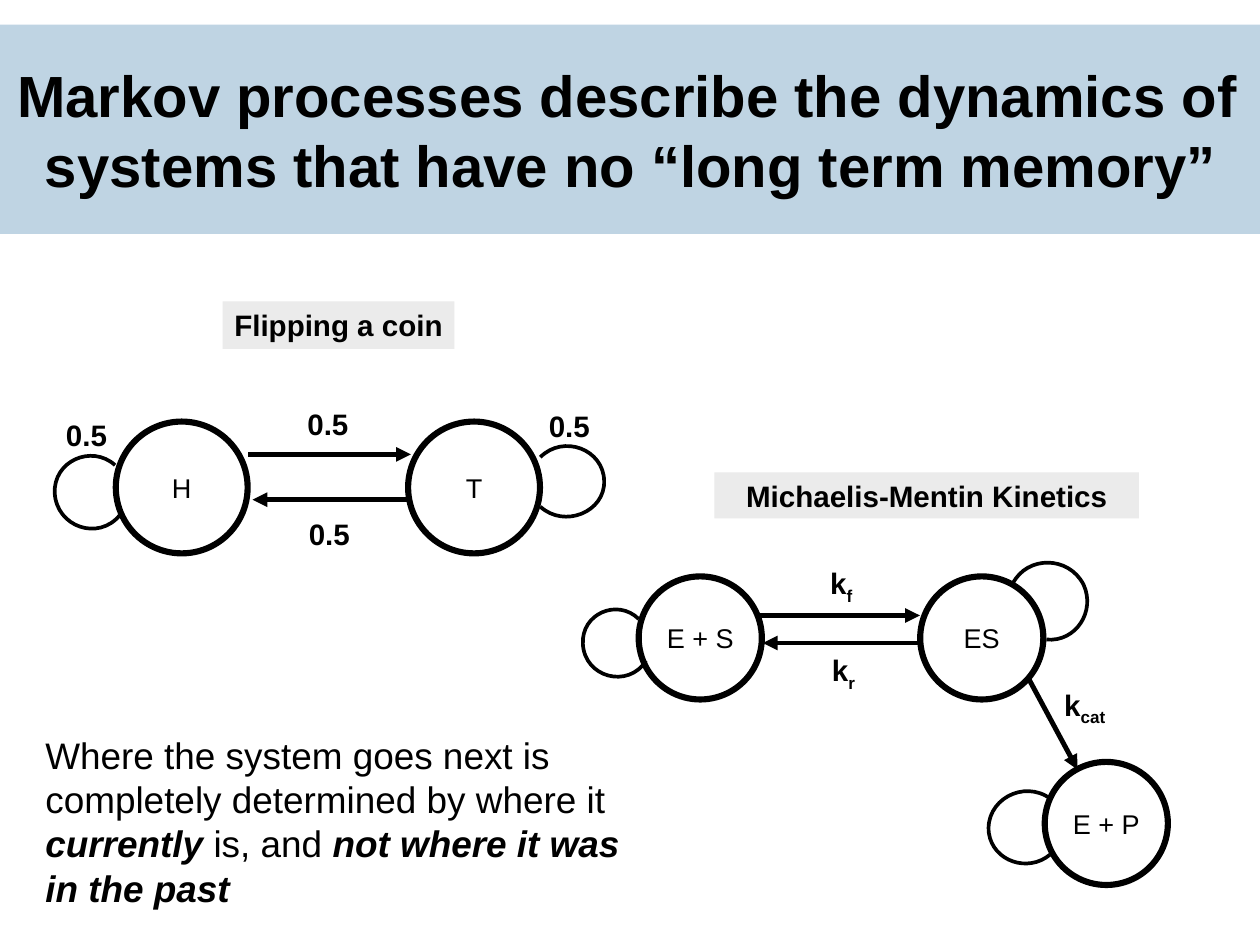
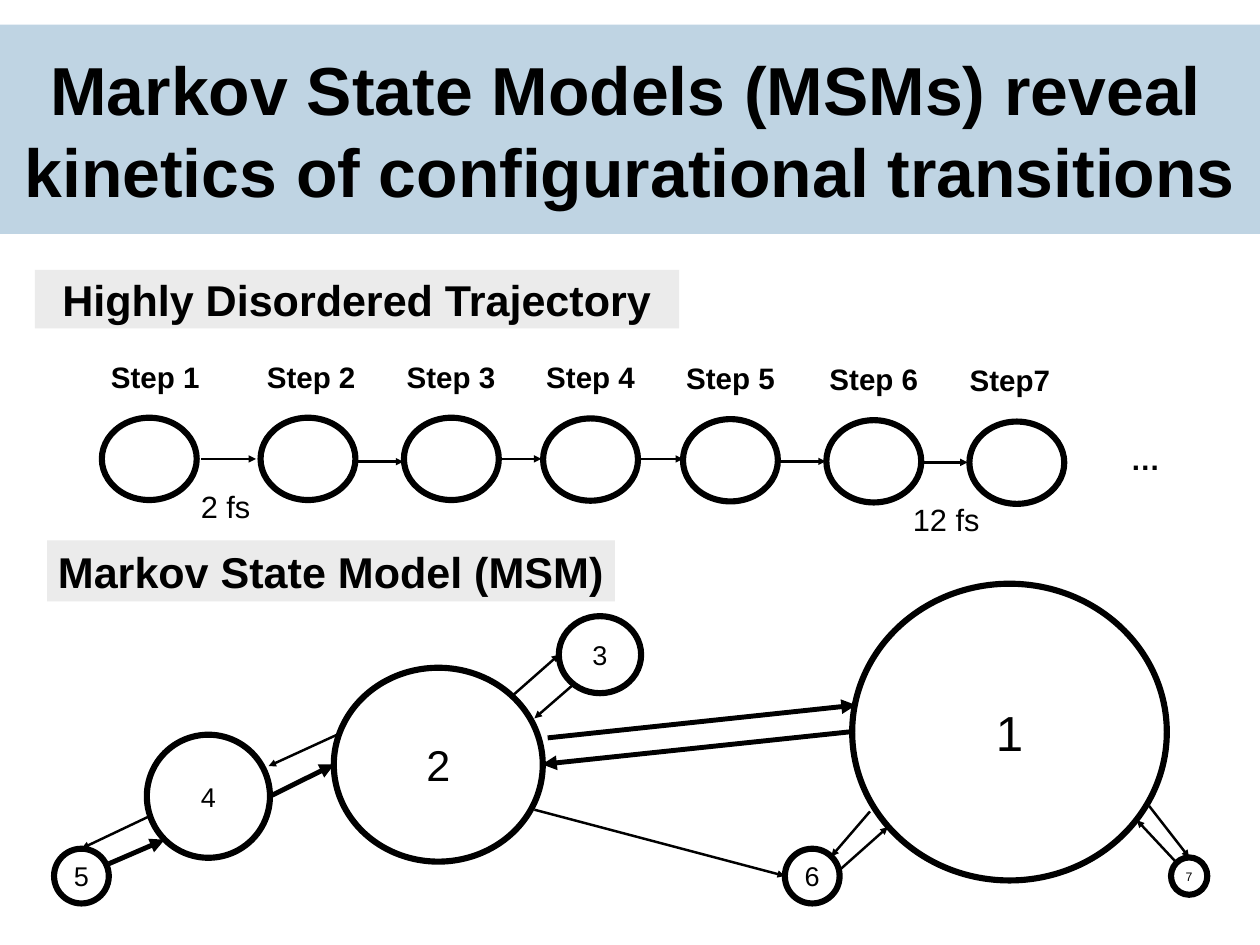
"""Build two slides on Markov processes and Markov state models."""
from dataclasses import dataclass
from typing import NamedTuple

from lxml import etree
from pptx import Presentation
from pptx.dml.color import RGBColor
from pptx.enum.shapes import MSO_CONNECTOR, MSO_SHAPE
from pptx.enum.text import MSO_ANCHOR, PP_ALIGN
from pptx.oxml.ns import qn
from pptx.util import Cm, Pt

RECTANGLE, ELLIPSE = MSO_SHAPE.RECTANGLE, MSO_SHAPE.OVAL
STRAIGHT = MSO_CONNECTOR.STRAIGHT
MIDDLE, TOP = MSO_ANCHOR.MIDDLE, MSO_ANCHOR.TOP
CENTER, LEFT = PP_ALIGN.CENTER, PP_ALIGN.LEFT


@dataclass(frozen=True)
class Theme:
    font: str = "Arial"
    ink: RGBColor = RGBColor(0, 0, 0)
    band: RGBColor = RGBColor(0x00, 0x54, 0x93)
    band_alpha: int = 25000
    caption: RGBColor = RGBColor(0xEB, 0xEB, 0xEB)
    label_size: float = 24
    state_size: float = 22
    heading_size: float = 35
    body_size: float = 30
    time_size: float = 25
    outline: float = 5
    loop: float = 3
    thick: float = 4
    thin: float = 2
    tight: float = 0.15
    loose: float = 0.25
    title_inset: float = 0.36


THEME = Theme()


class Box(NamedTuple):
    left: float
    top: float
    width: float
    height: float


class Span(NamedTuple):
    text: str
    emphasis: bool = False
    subscript: bool = False


class State(NamedTuple):
    name: str
    box: Box
    size: float = THEME.state_size


class Label(NamedTuple):
    spans: tuple[Span, ...]
    box: Box


class Arrow(NamedTuple):
    x1: float
    y1: float
    x2: float
    y2: float
    weight: float = THEME.thick


class Step(NamedTuple):
    name: str
    label_left: float
    circle_left: float
    circle_top: float


Point = tuple[float, float]


def place(box: Box) -> tuple[Cm, ...]:
    return tuple(Cm(length) for length in box)


def write(shape, spans: tuple[Span, ...], size: float, bold: bool = False,
          inset: float = THEME.tight, anchor=MIDDLE, align=CENTER,
          wrap: bool = False, hanging: float = 0) -> None:
    frame = shape.text_frame
    frame.word_wrap = wrap
    frame.vertical_anchor = anchor
    frame.margin_left = frame.margin_right = Cm(inset)
    frame.margin_top = frame.margin_bottom = Cm(inset)
    paragraph = frame.paragraphs[0]
    paragraph.alignment = align
    if hanging:
        properties = paragraph._p.get_or_add_pPr()
        for side in ("marL", "marR"):
            properties.set(side, str(Cm(hanging)))
        properties.set("indent", str(-Cm(hanging)))
    font = paragraph.font
    font.name, font.size, font.bold = THEME.font, Pt(size), bold
    font.color.rgb = THEME.ink
    for span in spans:
        run = paragraph.add_run()
        run.text = span.text
        if span.emphasis:
            run.font.bold = run.font.italic = True
        if span.subscript:
            run._r.get_or_add_rPr().set("baseline", "-25000")


def add_panel(slide, box: Box, color: RGBColor):
    panel = slide.shapes.add_shape(RECTANGLE, *place(box))
    panel.shadow.inherit = False
    panel.fill.solid()
    panel.fill.fore_color.rgb = color
    panel.line.fill.background()
    return panel


def add_title(slide, text: str, size: float, hanging: float) -> None:
    band = add_panel(slide, Box(-0.08, 0.71, 36.3, 6), THEME.band)
    color = band.fill._xPr.find(f".//{qn('a:srgbClr')}")
    etree.SubElement(color, qn("a:alpha")).set("val", str(THEME.band_alpha))
    write(band, (Span(text),), size, bold=True, inset=THEME.title_inset,
          wrap=True, hanging=hanging)


def add_caption(slide, text: str, box: Box, size: float) -> None:
    write(add_panel(slide, box, THEME.caption), (Span(text),), size, bold=True)


def add_label(slide, label: Label) -> None:
    write(slide.shapes.add_textbox(*place(label.box)), label.spans,
          THEME.label_size, bold=True)


def add_outline(shape, weight: float) -> None:
    shape.shadow.inherit = False
    shape.fill.background()
    shape.line.color.rgb = THEME.ink
    shape.line.width = Pt(weight)


def add_state(slide, state: State) -> None:
    circle = slide.shapes.add_shape(ELLIPSE, *place(state.box))
    add_outline(circle, THEME.outline)
    if state.name:
        write(circle, (Span(state.name),), state.size)


def add_arrow(slide, arrow: Arrow) -> None:
    ends = (Cm(arrow.x1), Cm(arrow.y1), Cm(arrow.x2), Cm(arrow.y2))
    connector = slide.shapes.add_connector(STRAIGHT, *ends)
    connector.line.color.rgb = THEME.ink
    connector.line.width = Pt(arrow.weight)
    tip = etree.SubElement(connector.line._get_or_add_ln(), qn("a:tailEnd"))
    tip.set("type", "triangle")
    etree.SubElement(connector._element.spPr, qn("a:effectLst"))


def bezier(a: Point, b: Point, c: Point, d: Point, steps: int = 16) -> list[Point]:
    points = []
    for i in range(1, steps + 1):
        t = i / steps
        weights = ((1 - t) ** 3, 3 * t * (1 - t) ** 2, 3 * t * t * (1 - t), t ** 3)
        points.append(tuple(sum(w * p[axis] for w, p in zip(weights, (a, b, c, d)))
                            for axis in (0, 1)))
    return points


def add_loop(slide, curve: tuple[Point, ...]) -> None:
    extent = bezier(*curve[:4]) + bezier(*curve[3:])
    start_x, start_y = curve[0]
    builder = slide.shapes.build_freeform(Cm(start_x), Cm(start_y))
    builder.add_line_segments([(Cm(x), Cm(y)) for x, y in extent], close=False)
    loop = builder.convert_to_shape()
    outline = loop._element.spPr.find(f".//{qn('a:path')}")
    for segment in outline.findall(qn("a:lnTo")):
        outline.remove(segment)
    for controls in (curve[1:4], curve[4:]):
        segment = etree.SubElement(outline, qn("a:cubicBezTo"))
        for x, y in controls:
            point = etree.SubElement(segment, qn("a:pt"))
            point.set("x", str(Cm(x) - loop.left))
            point.set("y", str(Cm(y) - loop.top))
    add_outline(loop, THEME.loop)


def build_processes(slide) -> None:
    add_title(slide, "Markov processes describe the dynamics of systems that have "
              "no “long term memory”", 47.2, 0.2)
    add_caption(slide, "Flipping a coin", Box(6.38, 8.64, 6.65, 1.37), THEME.label_size)
    add_caption(slide, "Michaelis-Mentin Kinetics", Box(20.48, 13.55, 12.17, 1.32),
                THEME.label_size)

    coin, species = 3.78, 3.53
    for name, left, top, diameter in (
            ("H", 3.32, 12.09, coin), ("T", 11.7, 12.09, coin),
            ("E + S", 18.31, 16.53, species), ("ES", 26.38, 16.53, species),
            ("E + P", 29.95, 21.85, species)):
        add_state(slide, State(name, Box(left, top, diameter, diameter)))

    for left, top in ((8.64, 14.61), (8.6, 11.48), (1.68, 11.79), (15.52, 11.53)):
        add_label(slide, Label((Span("0.5"),), Box(left, top, 1.6, 1.37)))
    for rate, box in (("f", Box(23.62, 16.13, 0.99, 1.32)),
                      ("r", Box(23.67, 18.62, 1.02, 1.32)),
                      ("cat", Box(30.27, 19.63, 1.65, 1.27))):
        add_label(slide, Label((Span("k"), Span(rate, subscript=True)), box))

    for curve in (
            ((3.43, 14.78), (2.82, 15.52), (1.63, 15.11), (1.57, 14.15),
             (1.52, 13.23), (2.62, 12.73), (3.3, 13.34)),
            ((15.49, 13.11), (16.15, 12.45), (17.3, 12.88), (17.32, 13.79),
             (17.35, 14.68), (16.18, 15.16), (15.49, 14.53)),
            ((18.52, 18.95), (18.01, 19.76), (16.76, 19.43), (16.71, 18.47),
             (16.66, 17.6), (17.7, 17.15), (18.31, 17.75)),
            ((29.03, 16.74), (29.44, 15.93), (30.63, 15.93), (31.06, 16.76),
             (31.42, 17.53), (30.84, 18.42), (30, 18.34)),
            ((30.12, 22.91), (29.34, 22.33), (28.22, 22.96), (28.35, 23.9),
             (28.47, 24.69), (29.46, 25.04), (30.1, 24.51))):
        add_loop(slide, curve)

    for arrow in (Arrow(7.11, 13.03, 11.78, 13.03), Arrow(11.66, 14.33, 7.24, 14.33),
                  Arrow(21.72, 17.65, 26.37, 17.65), Arrow(26.31, 18.44, 21.87, 18.44),
                  Arrow(29.46, 19.41, 30.89, 22.07)):
        add_arrow(slide, arrow)

    summary = slide.shapes.add_textbox(*place(Box(1.05, 20.75, 17.73, 5.64)))
    write(summary, (
        Span("Where the system goes next is completely determined by where it "),
        Span("currently", emphasis=True), Span(" is, and "),
        Span("not where it was in the past", emphasis=True)),
        THEME.body_size, inset=THEME.loose, anchor=TOP, align=LEFT, wrap=True)


def build_state_models(slide) -> None:
    add_title(slide, "Markov State Models (MSMs) reveal kinetics of configurational "
              "transitions", 55.2, 0.25)
    add_caption(slide, "Highly Disordered Trajectory", Box(1, 7.74, 18.47, 1.68),
                THEME.heading_size)
    add_caption(slide, "Markov State Model (MSM)", Box(1.35, 15.5, 16.28, 1.75),
                THEME.heading_size)

    for step in (Step("Step 1", 2.9, 2.92, 11.98), Step("Step 2", 7.37, 7.47, 11.98),
                 Step("Step 3", 11.38, 11.58, 11.98), Step("Step 4", 15.38, 15.57, 12),
                 Step("Step 5", 19.39, 19.58, 12.02), Step("Step 6", 23.5, 23.69, 12.05),
                 Step("Step7", 27.4, 27.79, 12.09)):
        add_label(slide, Label((Span(step.name),),
                               Box(step.label_left, step.circle_top - 1.8, 3.1, 1.22)))
        add_state(slide, State("", Box(step.circle_left, step.circle_top, 2.72, 2.36)))
    add_label(slide, Label((Span("…"),), Box(32.2, 12.55, 1.27, 1.22)))

    for start, end, y in ((5.77, 7.34, 13.16), (10.13, 11.56, 13.24),
                          (14.25, 15.52, 13.16), (18.34, 19.58, 13.16),
                          (22.4, 23.67, 13.23), (26.47, 27.74, 13.26)):
        add_arrow(slide, Arrow(start, y, end, y, THEME.thin))

    for state in (State("1", Box(24.43, 16.74, 9.02, 8.51), 40),
                  State("2", Box(9.57, 19.15, 5.99, 5.56), THEME.heading_size),
                  State("3", Box(16.02, 17.67, 2.36, 2.21)),
                  State("4", Box(4.21, 21.07, 3.53, 3.53)),
                  State("5", Box(1.55, 24.34, 1.57, 1.57)),
                  State("6", Box(22.5, 24.34, 1.57, 1.57)),
                  State("7", Box(33.57, 24.59, 1.04, 1.07), 10)):
        add_state(slide, state)

    rare = ((9.75, 21.03, 7.7, 21.97), (14.68, 19.96, 16.03, 18.77),
            (4.32, 23.39, 2.34, 24.33), (24.94, 23.27, 23.83, 24.56),
            (32.94, 23.11, 34.09, 24.59), (33.73, 24.74, 32.59, 23.52),
            (16.46, 19.61, 15.32, 20.6), (24.1, 24.92, 25.45, 23.72),
            (15.32, 23.22, 22.5, 25.12))
    frequent = ((7.75, 22.83, 9.58, 21.92), (15.7, 21.16, 24.54, 20.22),
                (24.43, 20.98, 15.54, 21.92), (3.12, 24.77, 4.72, 24.08))
    for transitions, weight in ((rare, THEME.thin), (frequent, THEME.thick)):
        for ends in transitions:
            add_arrow(slide, Arrow(*ends, weight))

    for time, box in (("2 fs", Box(5.51, 13.74, 2.01, 1.57)),
                      ("12 fs", Box(25.92, 14.1, 3.02, 1.57))):
        write(slide.shapes.add_textbox(*place(box)), (Span(time),), THEME.time_size,
              inset=THEME.loose, anchor=TOP, align=LEFT)


def main() -> None:
    deck = Presentation()
    deck.slide_width, deck.slide_height = Cm(36.12), Cm(27.1)
    blank = deck.slide_layouts[6]
    for build in (build_processes, build_state_models):
        build(deck.slides.add_slide(blank))
    deck.save("out.pptx")


if __name__ == "__main__":
    main()
